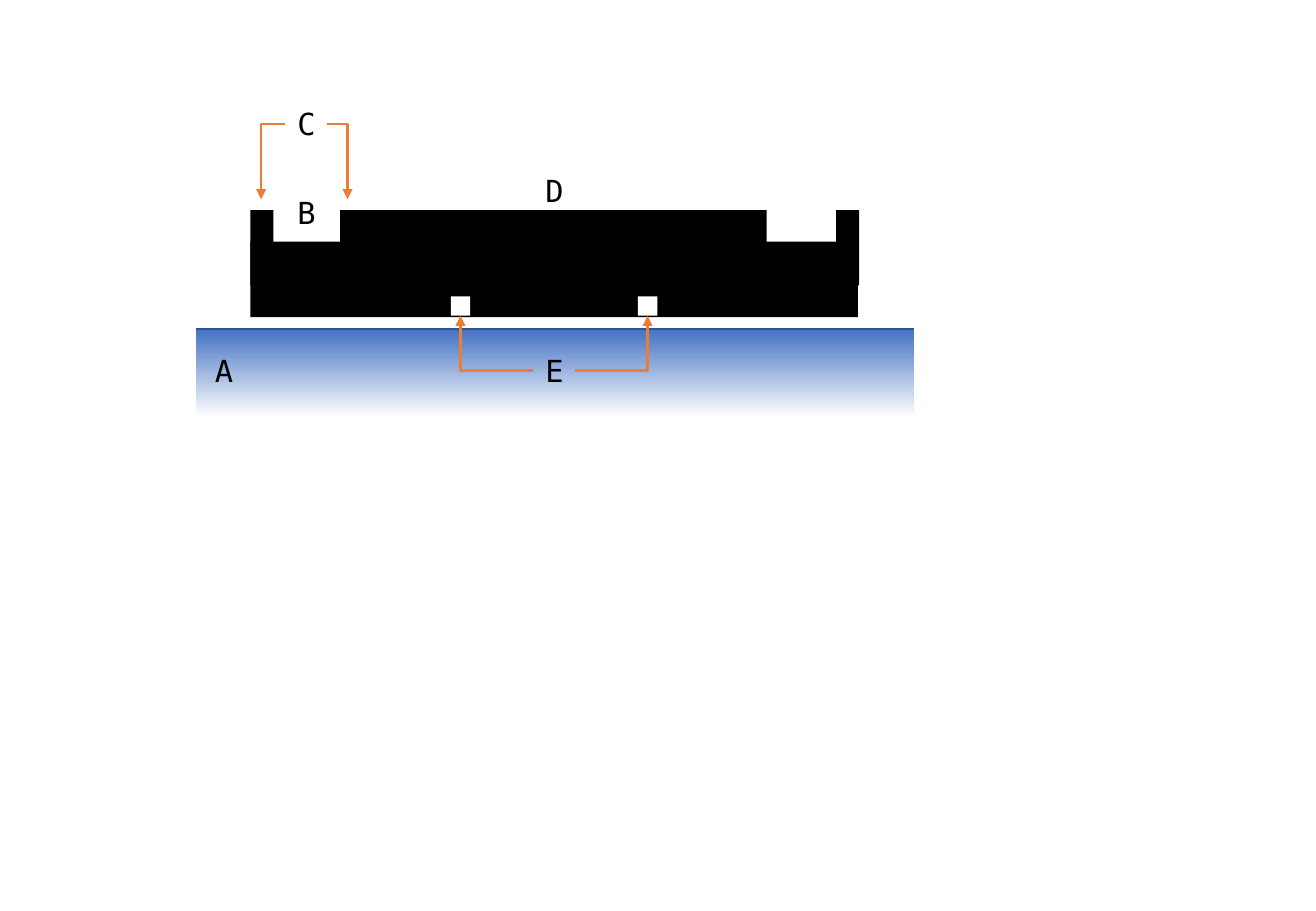
from typing import NamedTuple

from lxml.etree import SubElement
from pptx import Presentation
from pptx.dml.color import RGBColor as RGB
from pptx.enum.shapes import MSO_CONNECTOR as CONN, MSO_SHAPE as SHAPE
from pptx.enum.text import MSO_AUTO_SIZE as AUTO
from pptx.oxml.ns import qn
from pptx.shapes.autoshape import Shape
from pptx.shapes.connector import Connector
from pptx.shapes.shapetree import GroupShapes
from pptx.util import Emu, Pt

PX = 9144  # 100 px to the inch
FONT = "DejaVu Sans Mono"
COLORS = {
    "body": "000000",
    "gap": "FFFFFF",
    "base": "4472C4",
    "surface": "325491",
    "arrow": "ED7D31",
    "text": "000000",
}


class Block(NamedTuple):
    x: int
    y: int
    w: int
    h: int
    color: str


class Label(NamedTuple):
    text: str
    x: int
    y: int


class Arrow(NamedTuple):
    x1: int
    y1: int
    x2: int
    y2: int


BASE = Block(161, 271, 591, 98, "base")
BODY = [
    Block(206, 199, 500, 62, "body"),
    Block(280, 173, 351, 62, "body"),
    *(Block(x, 173, 19, 62, "body") for x in (206, 688)),
]
NOTCHES = [Block(x, 244, 16, 16, "gap") for x in (371, 525)]
LABELS = [
    Label("A", 167, 285),
    Label("B", 235, 155),
    Label("C", 235, 82),
    Label("D", 439, 137),
    Label("E", 439, 285),
]
ARROWS = [
    Arrow(235, 102, 215, 164),
    Arrow(269, 102, 286, 164),
    Arrow(439, 305, 379, 260),
    Arrow(473, 305, 533, 260),
]


def px(n: int) -> Emu:
    return Emu(n * PX)


def rgb(name: str) -> RGB:
    return RGB.from_string(COLORS[name])


def add_block(shapes: GroupShapes, b: Block) -> Shape:
    sp = shapes.add_shape(SHAPE.RECTANGLE, px(b.x), px(b.y), px(b.w), px(b.h))
    sp.shadow.inherit = False
    sp.fill.solid()
    sp.fill.fore_color.rgb = rgb(b.color)
    sp.line.fill.background()
    return sp


def add_base(shapes: GroupShapes) -> None:
    """Draw the base fading downwards, with a line along its surface."""
    fill = add_block(shapes, BASE).fill
    fill.gradient()
    fill.gradient_angle = 270
    for stop, position, color in zip(fill.gradient_stops, (0, 0.74), ("base", "gap")):
        stop.position = position
        stop.color.rgb = rgb(color)
    surface = Arrow(BASE.x + BASE.w, BASE.y, BASE.x, BASE.y)
    add_line(shapes, CONN.STRAIGHT, surface, "surface", 1)


def add_line(shapes: GroupShapes, kind: CONN, a: Arrow, color: str, width: float) -> Connector:
    c = shapes.add_connector(kind, px(a.x1), px(a.y1), px(a.x2), px(a.y2))
    c.line.color.rgb = rgb(color)
    c.line.width = Pt(width)
    SubElement(c._element.spPr, qn("a:effectLst"))
    return c


def add_arrow(shapes: GroupShapes, a: Arrow) -> None:
    """Draw an arrow that runs sideways, then turns once towards its target."""
    c = add_line(shapes, CONN.ELBOW, a, "arrow", 1.5)
    spPr = c._element.spPr
    spPr.find(qn("a:prstGeom")).set("prst", "bentConnector2")
    SubElement(spPr.find(qn("a:ln")), qn("a:tailEnd"), type="triangle")


def add_label(shapes: GroupShapes, label: Label) -> None:
    tf = shapes.add_textbox(px(label.x), px(label.y), px(34), px(40)).text_frame
    tf.word_wrap = False
    tf.auto_size = AUTO.SHAPE_TO_FIT_TEXT
    r = tf.paragraphs[0].add_run()
    r.text = label.text
    r.font.name = FONT
    r.font.size = Pt(18)
    r.font.color.rgb = rgb("text")


def main() -> None:
    prs = Presentation()
    prs.slide_width, prs.slide_height = px(1083), px(750)
    slide = prs.slides.add_slide(prs.slide_layouts[6])
    shapes = slide.shapes.add_group_shape().shapes
    add_base(shapes)
    for block in BODY + NOTCHES:
        add_block(shapes, block)
    for label in LABELS:
        add_label(shapes, label)
    for arrow in ARROWS:
        add_arrow(shapes, arrow)
    prs.save("out.pptx")


if __name__ == "__main__":
    main()
